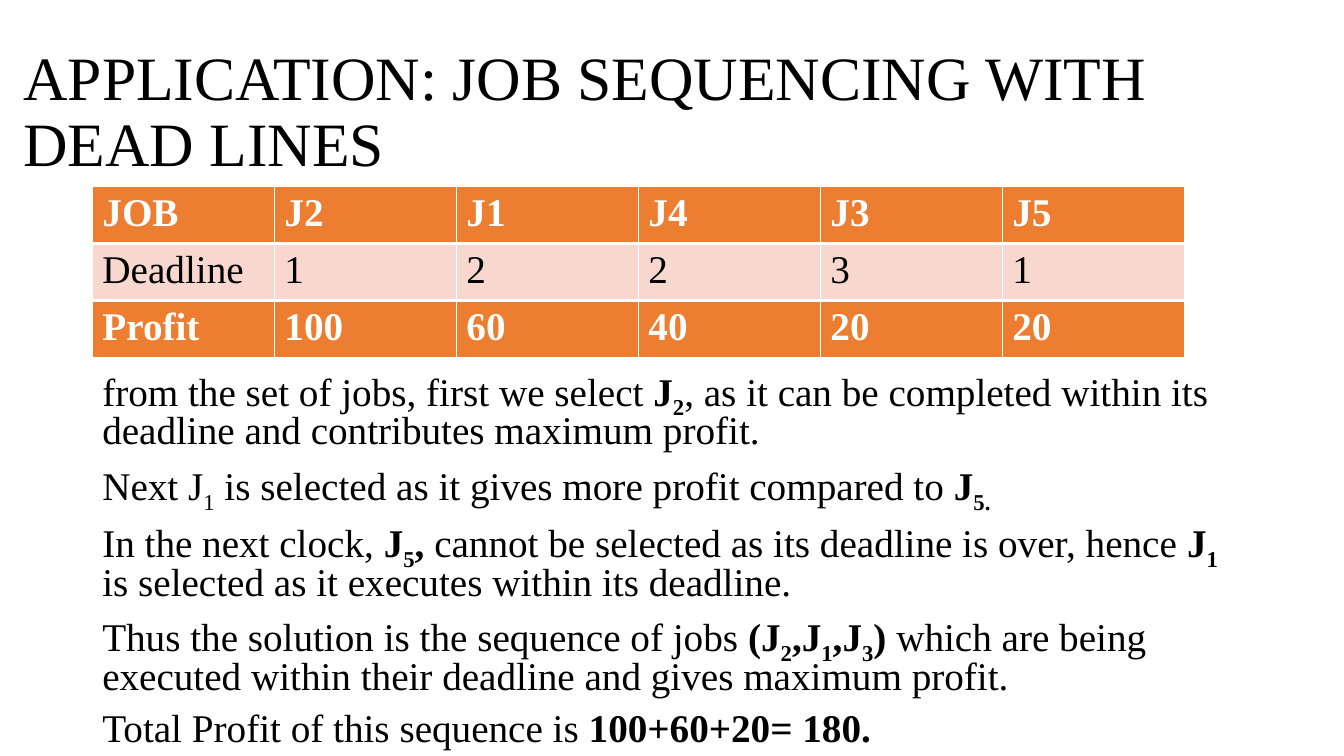
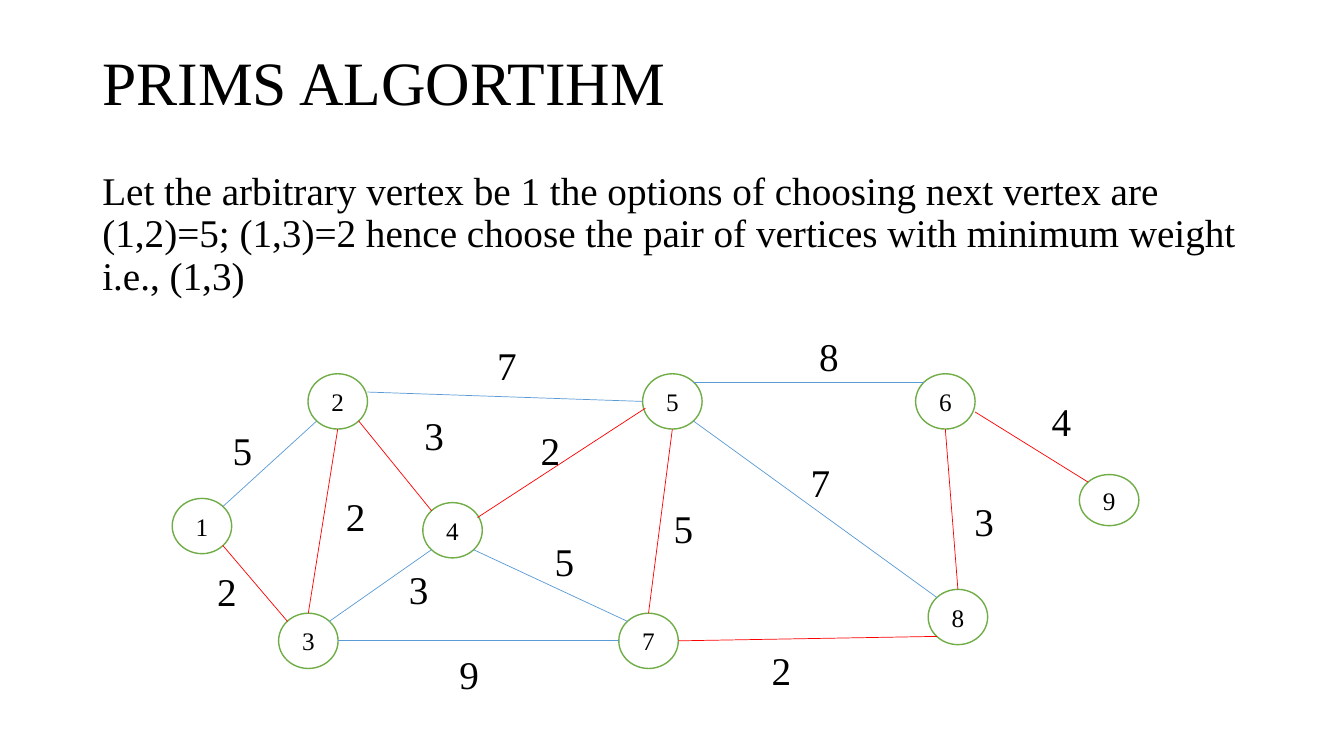
from lxml import etree
from pptx import Presentation
from pptx.dml.color import RGBColor
from pptx.enum import shapes, text
from pptx.oxml import ns
from pptx.util import Pt

FONT = "Times New Roman"
BLACK, WHITE = "000000", "FFFFFF"
ORANGE, PALE = "ED7D31", "F8D7CE"
GREEN, BLUE, RED = "70AD47", "5B9BD5", "FF0000"
BODY_SIZE = 28

JOBS = [
    ["JOB", "J2", "J1", "J4", "J3", "J5"],
    ["Deadline", "1", "2", "2", "3", "1"],
    ["Profit", "100", "60", "40", "20", "20"],
]

# Each run is (text, style): "b" is bold, "s" is subscript.
STEPS = [
    [("from the set of jobs, first we select ", ""), ("J", "b"), ("2", "bs"),
     (", as it can be completed within its deadline and contributes maximum profit.", "")],
    [("Next J", ""), ("1", "s"), (" is selected as it gives more profit compared to ", ""),
     ("J", "b"), ("5.", "bs")],
    [("In the next clock, ", ""), ("J", "b"), ("5", "bs"), (", ", "b"),
     ("cannot be selected as its deadline is over, hence ", ""), ("J", "b"), ("1 ", "bs"),
     ("is selected as it executes within its deadline.", "")],
    [("Thus the solution is the sequence of jobs ", ""), ("(J", "b"), ("2", "bs"),
     (",J", "b"), ("1", "bs"), (",J", "b"), ("3", "bs"), (") ", "b"),
     ("which are being executed within their deadline and gives maximum profit.", "")],
    [("Total Profit of this sequence is ", ""), ("100+60+20= 180.", "b")],
]

PRIM_INTRO = [[("Let the arbitrary vertex be 1 the options of choosing next vertex are "
                "(1,2)=5; (1,3)=2 hence choose the pair of vertices with minimum weight "
                "i.e., (1,3)", "")]]

# Vertex: left, top, width, height
VERTICES = {
    1: (123, 356, 42.5, 39.5),
    2: (220, 267, 42.5, 39.5),
    3: (199, 438, 42.5, 39.5),
    4: (302, 359, 42.5, 39.5),
    5: (459, 267, 42.5, 39.5),
    6: (654, 267, 42.5, 39.5),
    7: (442, 438, 42.5, 39.5),
    8: (663, 421, 42.5, 39.5),
    9: (771, 339, 42.5, 36.5),
}

# Where an edge meets a vertex, as fractions of its width and height
SITES = {
    "top": (0.5, 0), "bottom": (0.5, 1), "left": (0, 0.5), "right": (1, 0.5),
    "top left": (0.15, 0.15), "top right": (0.85, 0.15),
    "bottom left": (0.15, 0.85), "bottom right": (0.85, 0.85),
    "upper right": (1, 0.33), "lower right": (1, 0.69),
    "right shoulder": (0.92, 0.27), "left shoulder": (0.05, 0.62),
}

# Edge: vertex, site, vertex, site, colour, weight, left and top of the weight
EDGES = [
    (2, "bottom left", 1, "top right", BLUE, 5, 159, 301),
    (2, "bottom right", 4, "top left", RED, 3, 296, 290),
    (1, "bottom right", 3, "top left", RED, 2, 148, 402),
    (2, "bottom", 3, "top", RED, 2, 240, 348),
    (4, "bottom left", 3, "top right", BLUE, 3, 285, 400),
    (4, "right shoulder", 5, "left shoulder", RED, 2, 379, 301),
    (4, "bottom right", 7, "top left", BLUE, 5, 389, 380),
    (3, "right", 7, "left", BLUE, 9, 321, 461),
    (5, "bottom", 7, "top", RED, 5, 474, 357),
    (5, "bottom right", 8, "top left", BLUE, 7, 572, 324),
    (7, "right", 8, "bottom left", RED, 2, 544, 458),
    (6, "bottom", 8, "top", RED, 3, 689, 352),
    (5, "top right", 6, "top left", BLUE, 8, 578, 234),
    (6, "lower right", 9, "top left", RED, 4, 744, 280),
    (2, "upper right", 5, "left", BLUE, 7, 348, 240),
]


def rgb(value):
    return RGBColor.from_string(value)


def add_run(p, words, size=BODY_SIZE, color=BLACK, style=""):
    r = p.add_run()
    r.text = words
    r.font.name = FONT
    r.font.size = Pt(size)
    r.font.bold = "b" in style
    r.font.color.rgb = rgb(color)
    if "s" in style:
        r._r.get_or_add_rPr().set("baseline", "-25000")


def add_titled_slide(prs, title, left, top, width, height):
    s = prs.slides.add_slide(prs.slide_layouts[5])
    sp = s.shapes.title
    sp.left, sp.top, sp.width, sp.height = Pt(left), Pt(top), Pt(width), Pt(height)
    tf = sp.text_frame
    tf.word_wrap = True
    tf.auto_size = text.MSO_AUTO_SIZE.NONE
    tf.vertical_anchor = text.MSO_ANCHOR.MIDDLE
    p = tf.paragraphs[0]
    p.alignment = text.PP_ALIGN.LEFT
    p.line_spacing = 0.9
    add_run(p, title, 44)
    return s


def add_text(s, left, top, width, height, paragraphs, line_spacing=1.0):
    tf = s.shapes.add_textbox(Pt(left), Pt(top), Pt(width), Pt(height)).text_frame
    tf.word_wrap = True
    for i, runs in enumerate(paragraphs):
        p = tf.add_paragraph() if i else tf.paragraphs[0]
        p.line_spacing = line_spacing
        p.space_before = Pt(10 if i else 0)
        for words, style in runs:
            add_run(p, words, style=style)


def set_border(cell, side, width):
    ln = etree.SubElement(cell._tc.get_or_add_tcPr(), ns.qn(f"a:ln{side}"), w=str(Pt(width)))
    fill = etree.SubElement(ln, ns.qn("a:solidFill"))
    etree.SubElement(fill, ns.qn("a:srgbClr"), val=WHITE)


def add_job_table(s, left, top, col_width, row_height):
    rows, cols = len(JOBS), len(JOBS[0])
    table = s.shapes.add_table(rows, cols, Pt(left), Pt(top),
                               Pt(cols * col_width), Pt(rows * row_height)).table
    for i, values in enumerate(JOBS):
        plain = i == 1
        for j, value in enumerate(values):
            cell = table.cell(i, j)
            widths = {"L": 1, "R": 1, "T": 3 if i else 1, "B": 3 if i < rows - 1 else 1}
            for side, width in widths.items():
                set_border(cell, side, width)
            cell.fill.solid()
            cell.fill.fore_color.rgb = rgb(PALE if plain else ORANGE)
            add_run(cell.text_frame.paragraphs[0], value,
                    color=BLACK if plain else WHITE, style="" if plain else "b")


def add_vertex(s, number, box):
    sp = s.shapes.add_shape(shapes.MSO_SHAPE.FLOWCHART_CONNECTOR, *map(Pt, box))
    sp.shadow.inherit = False
    sp.fill.solid()
    sp.fill.fore_color.rgb = rgb(WHITE)
    sp.line.color.rgb = rgb(GREEN)
    sp.line.width = Pt(1)
    tf = sp.text_frame
    tf.vertical_anchor = text.MSO_ANCHOR.MIDDLE
    p = tf.paragraphs[0]
    p.alignment = text.PP_ALIGN.CENTER
    add_run(p, str(number), 18)


def site_point(vertex, site):
    left, top, width, height = VERTICES[vertex]
    fx, fy = SITES[site]
    return Pt(left + fx * width), Pt(top + fy * height)


def add_edge(s, start, end, color):
    line = s.shapes.add_connector(shapes.MSO_CONNECTOR.STRAIGHT, *start, *end)
    line.line.color.rgb = rgb(color)
    line.line.width = Pt(0.5)
    etree.SubElement(line._element.spPr, ns.qn("a:effectLst"))


def build_job_slide(prs):
    s = add_titled_slide(prs, "APPLICATION: JOB SEQUENCING WITH DEAD LINES", 9.5, 29, 943, 104)
    add_text(s, 66, 262, 828, 265, STEPS, 0.8)
    add_job_table(s, 66, 133, 130, 34)


def build_prim_slide(prs):
    s = add_titled_slide(prs, "PRIMS ALGORTIHM", 66, 29, 828, 64)
    add_text(s, 66, 119, 852, 100, PRIM_INTRO, 0.9)
    for number, box in VERTICES.items():
        add_vertex(s, number, box)
    for a, a_site, b, b_site, color, weight, left, top in EDGES:
        add_edge(s, site_point(a, a_site), site_point(b, b_site), color)
        add_text(s, left, top, 29, 41, [[(str(weight), "")]])


def main():
    prs = Presentation()
    prs.slide_width, prs.slide_height = Pt(960), Pt(540)
    build_job_slide(prs)
    build_prim_slide(prs)
    prs.save("out.pptx")


if __name__ == "__main__":
    main()
